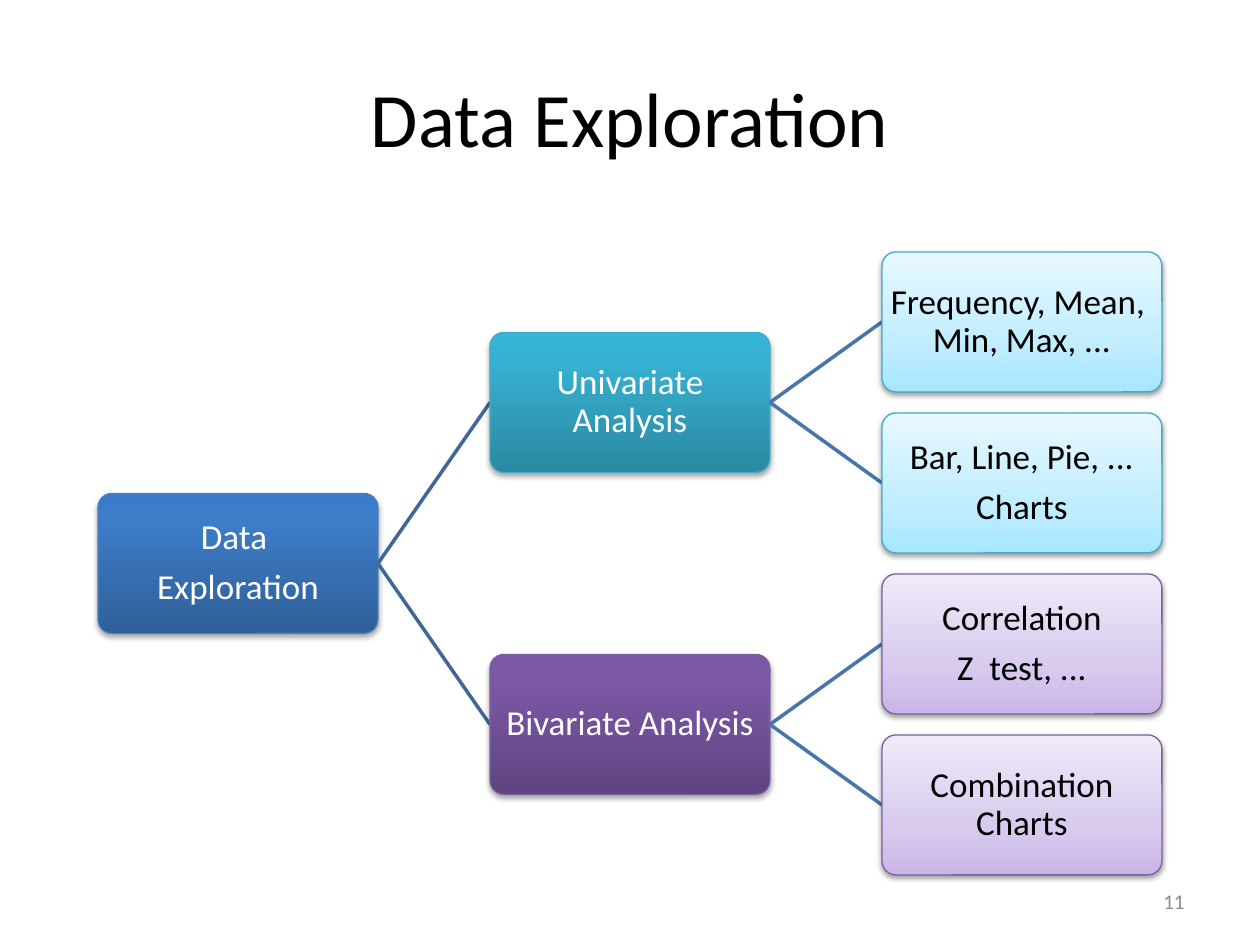
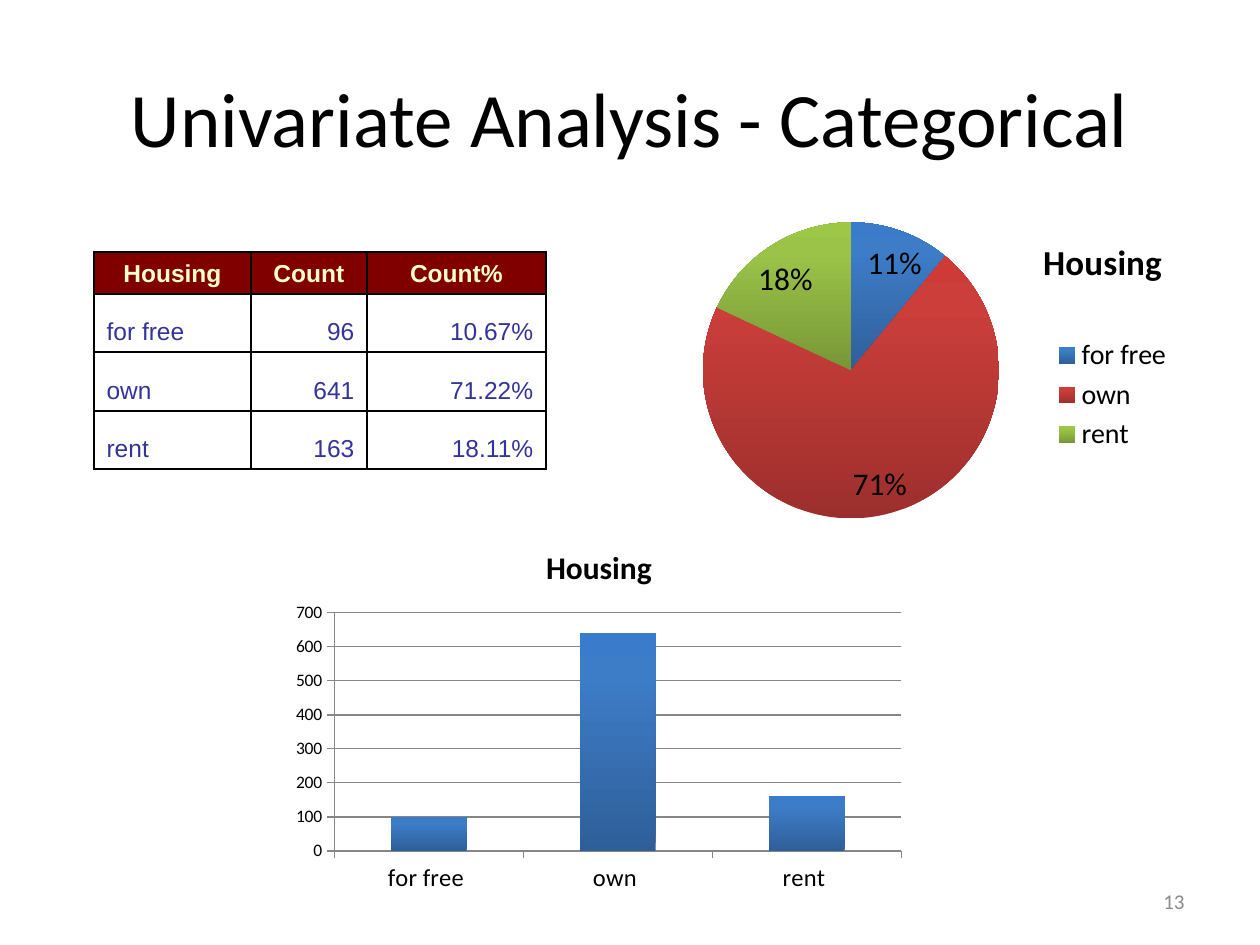
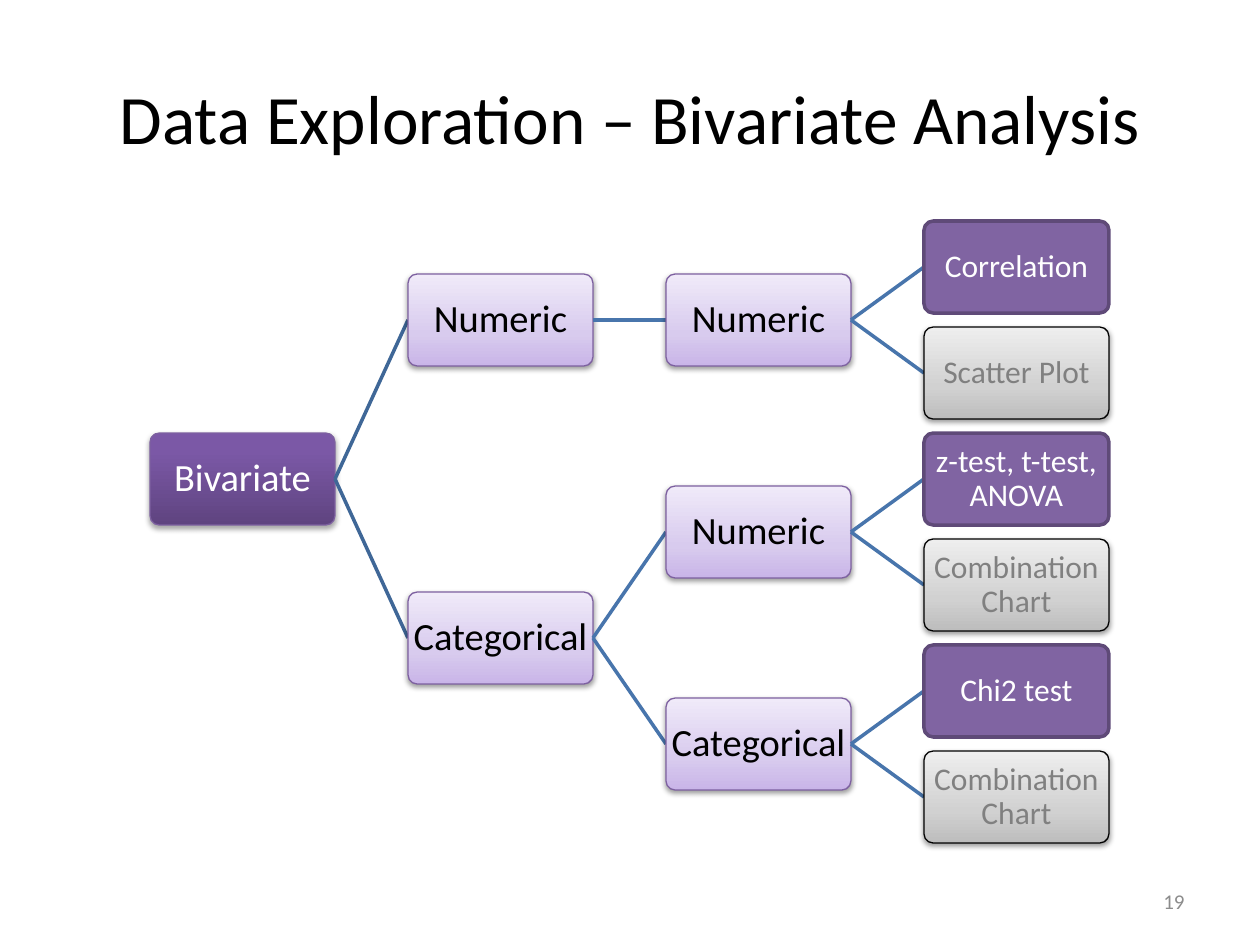
import copy

from lxml import etree
from pptx import Presentation
from pptx import util as u
from pptx.chart.data import CategoryChartData
from pptx.dml.color import RGBColor
from pptx.enum import chart as charts, shapes, text
from pptx.oxml import parse_xml
from pptx.oxml.ns import nsdecls, qn

PX = 7257
CENTER, LEFT, RIGHT = text.PP_ALIGN.CENTER, text.PP_ALIGN.LEFT, text.PP_ALIGN.RIGHT

THEME = {
    "font": "Calibri",
    "table_font": "Arial",
    "black": "000000",
    "white": "FFFFFF",
    "number": "8C8C8C",
    "axis": "868686",
    "root_link": "3F6797",
    "link": "4875AC",
    "table_header": "800000",
    "table_header_text": "FFFFCC",
    "table_body": "FFFFFF",
    "table_body_text": "333399",
    "number_size": 12,
    "table_size": 14,
    "chart_size": 10,
    "category_size": 14,
    "legend_size": 16,
    "label_size": 18,
    "pie_title_size": 20,
    "column_title_size": 18,
    "blue": [(0, "2F5F99"), (0.8, "3D7CC7"), (1, "3A7CCB")],
    "red": [(0, "9C2F2D"), (0.8, "CB3E3A"), (1, "CE3B37")],
    "green": [(0, "779737"), (0.8, "9BC348"), (1, "9DC746")],
    "teal": [(0, "2A88A2"), (0.8, "37B1D2"), (1, "34B4D6")],
    "purple": [(0, "5F4480"), (0.8, "7B58A6"), (1, "7C57A8")],
    "light_teal": [(0, "A7E6FF"), (0.35, "C1EDFF"), (1, "E7F8FF")],
    "light_purple": [(0, "C9B5E8"), (0.35, "D8CBEE"), (1, "F0EAF9")],
    "grey": [(0, "BDBDBD"), (0.35, "D1D1D1"), (1, "EEEEEE")],
    "flat_purple": [(0, "8064A2")],
}

STRONG, SOFT = (35000, 23000), (38000, 20000)
NODE_STYLES = {
    "blue": ("4B7EBC", 0.75, "FFFFFF", STRONG),
    "teal": ("46AAC5", 0.75, "FFFFFF", STRONG),
    "purple": ("7D60A0", 0.75, "FFFFFF", STRONG),
    "light_teal": ("46AAC5", 0.75, "000000", SOFT),
    "light_purple": ("7D60A0", 0.75, "000000", SOFT),
    "grey": ("000000", 0.75, "808080", SOFT),
    "flat_purple": ("5F4A78", 2, "FFFFFF", None),
}


def paint(fill, stops):
    if len(stops) == 1:
        fill.solid()
        fill.fore_color.rgb = RGBColor.from_string(stops[0][1])
        return
    fill.gradient()
    fill.gradient_angle = 90
    last = fill.gradient_stops[1]._gs
    last.addnext(copy.deepcopy(last))
    for stop, (position, color) in zip(fill.gradient_stops, stops):
        stop.position = position
        stop.color.rgb = RGBColor.from_string(color)


def write(frame, words, size, color, alignment=CENTER, margin=None,
          anchor=text.MSO_ANCHOR.MIDDLE, name=THEME["font"], bold=False, **spacing):
    frame.word_wrap = True
    frame.vertical_anchor = anchor
    if margin is not None:
        for side in ("left", "right", "top", "bottom"):
            setattr(frame, f"margin_{side}", margin)
    for index, line in enumerate(words.split("\n")):
        paragraph = frame.add_paragraph() if index else frame.paragraphs[0]
        for key, value in {"alignment": alignment, **spacing}.items():
            setattr(paragraph, key, value)
        run = paragraph.add_run()
        run.text = line
        for key, value in {"name": name, "size": u.Pt(size), "bold": bold}.items():
            setattr(run.font, key, value)
        run.font.color.rgb = RGBColor.from_string(color)


presentation = Presentation()
presentation.slide_width, presentation.slide_height = u.Inches(10), u.Inches(7.5)

slides = []
for title, size, number, framed in (
    ("Data Exploration", 44, "11", True),
    ("Univariate Analysis - Categorical", 44, "13", True),
    ("Data Exploration – Bivariate Analysis", 39.6, "19", False),
):
    slide = presentation.slides.add_slide(presentation.slide_layouts[6])
    title_box = slide.shapes.add_textbox(63 * PX, 38 * PX, 1134 * PX, 158 * PX)
    if framed:
        paint(title_box.fill, [(0, THEME["white"])])
        title_box.line.width = u.Pt(2)
        title_box.line.color.rgb = RGBColor.from_string(THEME["white"])
    write(title_box.text_frame, title, size, THEME["black"])
    number_box = slide.shapes.add_textbox(903 * PX, 876 * PX, 294 * PX, 50 * PX)
    write(number_box.text_frame, number, THEME["number_size"], THEME["number"], RIGHT)
    slides.append(slide)
exploration_slide, categorical_slide, bivariate_slide = slides

exploration_nodes = [
    (0, 1.5, "blue", "Data \nExploration", None),
    (1, 0.5, "teal", "Univariate Analysis", 0),
    (2, 0, "light_teal", "Frequency, Mean,  Min, Max, ...", 1),
    (2, 1, "light_teal", "Bar, Line, Pie, ...\nCharts", 1),
    (1, 2.5, "purple", "Bivariate Analysis", 0),
    (2, 2, "light_purple", "Correlation\nZ  test, ...", 4),
    (2, 3, "light_purple", "Combination Charts", 4),
]
bivariate_nodes = [
    (0, 2, "purple", "Bivariate", None),
    (1, 0.5, "light_purple", "Numeric", 0),
    (2, 0.5, "light_purple", "Numeric", 1),
    (3, 0, "flat_purple", "Correlation", 2),
    (3, 1, "grey", "Scatter Plot", 2),
    (1, 3.5, "light_purple", "Categorical", 0),
    (2, 2.5, "light_purple", "Numeric", 5),
    (3, 2, "flat_purple", "z-test, t-test, ANOVA", 6),
    (3, 3, "grey", "Combination Chart", 6),
    (2, 4.5, "light_purple", "Categorical", 5),
    (3, 4, "flat_purple", "Chi2 test", 9),
    (3, 5, "grey", "Combination Chart", 9),
]
trees = [
    (exploration_slide, exploration_nodes, (98, 252), (392, 161), (280, 140), (20, 20, 20)),
    (bivariate_slide, bivariate_nodes, (150, 221), (258, 106), (185, 92), (22, 22, 22, 18)),
]
for slide, nodes, (left, top), (column_step, row_step), (width, height), sizes in trees:
    corners = [(round((left + column * column_step) * PX), round((top + row * row_step) * PX))
               for column, row, *_ in nodes]
    for (column, row, style, words, parent), (x, y) in zip(nodes, corners):
        if parent is not None:
            parent_x, parent_y = corners[parent]
            middle = height * PX // 2
            link = slide.shapes.add_connector(
                shapes.MSO_CONNECTOR.STRAIGHT,
                parent_x + width * PX, parent_y + middle, x, y + middle)
            link.line.width = u.Pt(2)
            link.line.color.rgb = RGBColor.from_string(
                THEME["root_link" if parent == 0 else "link"])
            etree.SubElement(link._element.spPr, qn("a:effectLst"))
        line_color, line_width, text_color, shadow = NODE_STYLES[style]
        node = slide.shapes.add_shape(
            shapes.MSO_SHAPE.ROUNDED_RECTANGLE, x, y, width * PX, height * PX)
        node.adjustments[0] = 0.1
        node.shadow.inherit = False
        paint(node.fill, THEME[style])
        node.line.width = u.Pt(line_width)
        node.line.color.rgb = RGBColor.from_string(line_color)
        if shadow:
            alpha, distance = shadow
            node._element.spPr.find(qn("a:effectLst")).append(parse_xml(
                f'<a:outerShdw {nsdecls("a")} blurRad="40000" dist="{distance}" dir="5400000" '
                f'rotWithShape="0"><a:srgbClr val="000000"><a:alpha val="{alpha}"/>'
                '</a:srgbClr></a:outerShdw>'))
        size = sizes[column]
        write(node.text_frame, words, size, text_color, margin=2 * PX,
              line_spacing=0.9, space_after=u.Pt(size * 0.35))

housing_rows = [
    ("Housing", "Count", "Count%"),
    ("for free", "96", "10.67%"),
    ("own", "641", "71.22%"),
    ("rent", "163", "18.11%"),
]
column_widths, row_heights = (157, 116, 179), (42, 58, 59, 58)
table = categorical_slide.shapes.add_table(
    4, 3, 94 * PX, 252 * PX, sum(column_widths) * PX, sum(row_heights) * PX).table
table.first_row = table.horz_banding = False
for column, width in zip(table.columns, column_widths):
    column.width = width * PX
for row_index, (row, height) in enumerate(zip(table.rows, row_heights)):
    row.height = height * PX
    header = row_index == 0
    role = "table_header" if header else "table_body"
    for column_index, cell in enumerate(row.cells):
        for side in ("L", "R", "T", "B"):
            cell._tc.get_or_add_tcPr().append(parse_xml(
                f'<a:ln{side} {nsdecls("a")} w="12700"><a:solidFill>'
                f'<a:srgbClr val="{THEME["black"]}"/></a:solidFill></a:ln{side}>'))
        paint(cell.fill, [(0, THEME[role])])
        cell.vertical_anchor = text.MSO_ANCHOR.BOTTOM
        alignment = CENTER if header else RIGHT if column_index else LEFT
        write(cell.text_frame, housing_rows[row_index][column_index], THEME["table_size"],
              THEME[role + "_text"], alignment, anchor=text.MSO_ANCHOR.BOTTOM,
              name=THEME["table_font"], bold=header)

housing_charts = []
for kind, left, top, series_name, values, title_size, layouts in (
    (charts.XL_CHART_TYPE.PIE, 577, 189, "Series 1", (0.11, 0.71, 0.18),
     THEME["pie_title_size"],
     {"c:plotArea": (0.2, 0.08, 0.47, 0.8), "c:title": (0.73, 0.11), "c:legend": (0.75, 0.38)}),
    (charts.XL_CHART_TYPE.COLUMN_CLUSTERED, 284, 526, "Housing", (100, 640, 160),
     THEME["column_title_size"], {"c:plotArea": (0.08, 0.23, 0.9, 0.63)}),
):
    data = CategoryChartData()
    data.categories = ["for free ", "own ", "rent "]
    data.add_series(series_name, values)
    chart = categorical_slide.shapes.add_chart(
        kind, left * PX, top * PX, 630 * PX, 378 * PX, data).chart
    chart.font.name = THEME["font"]
    chart.font.size = u.Pt(THEME["chart_size"])
    chart.font.color.rgb = RGBColor.from_string(THEME["black"])
    chart.has_title = True
    write(chart.chart_title.text_frame, "Housing", title_size, THEME["black"], bold=True)
    chart.has_legend = "c:legend" in layouts
    if chart.has_legend:
        chart.legend.position = charts.XL_LEGEND_POSITION.RIGHT
        chart.legend.include_in_layout = False
        chart.legend.font.size = u.Pt(THEME["legend_size"])
    for tag, box in layouts.items():
        part = chart._chartSpace.find(".//" + qn(tag))
        for old_layout in part.findall(qn("c:layout")):
            part.remove(old_layout)
        settings = [("layoutTarget", "inner")] if tag == "c:plotArea" else []
        settings += [("xMode", "edge"), ("yMode", "edge"), *zip("xywh", box)]
        layout = etree.Element(qn("c:layout"))
        manual = etree.SubElement(layout, qn("c:manualLayout"))
        for key, value in settings:
            etree.SubElement(manual, qn("c:" + key)).set("val", str(value))
        overlay = part.find(qn("c:overlay"))
        if overlay is None:
            part.insert(0, layout)
        else:
            overlay.addprevious(layout)
    housing_charts.append(chart)
pie_chart, column_chart = housing_charts

pie_plot = pie_chart.plots[0]
pie_plot.vary_by_categories = True
for index, color in enumerate(("blue", "red", "green")):
    paint(pie_plot.series[0].points[index].format.fill, THEME[color])
pie_plot.has_data_labels = True
for key, value in {
    "show_value": True,
    "show_percentage": False,
    "number_format": "0%",
    "number_format_is_linked": False,
    "position": charts.XL_LABEL_POSITION.BEST_FIT,
}.items():
    setattr(pie_plot.data_labels, key, value)
pie_plot.data_labels.font.size = u.Pt(THEME["label_size"])

column_plot = column_chart.plots[0]
column_plot.vary_by_categories = False
column_plot.gap_width = 150
paint(column_plot.series[0].format.fill, THEME["blue"])
category_axis, value_axis = column_chart.category_axis, column_chart.value_axis
category_axis.tick_labels.font.size = u.Pt(THEME["category_size"])
value_axis.has_major_gridlines = True
for key, value in {"minimum_scale": 0, "maximum_scale": 700, "major_unit": 100}.items():
    setattr(value_axis, key, value)
for axis in (category_axis, value_axis):
    axis.major_tick_mark = charts.XL_TICK_MARK.OUTSIDE
for ruled in (category_axis, value_axis, value_axis.major_gridlines):
    ruled.format.line.width = u.Pt(0.75)
    ruled.format.line.color.rgb = RGBColor.from_string(THEME["axis"])

presentation.save("out.pptx")
